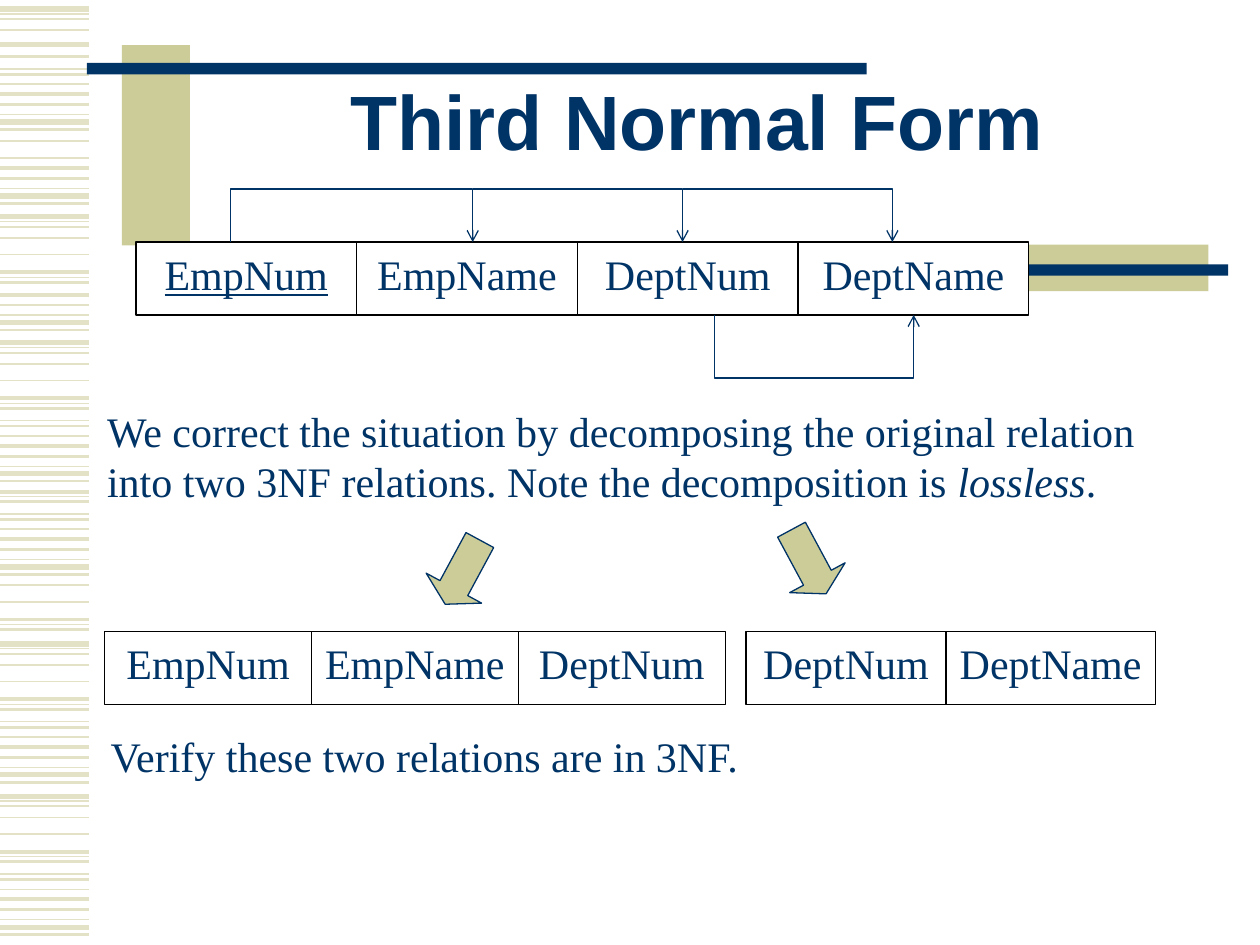
from lxml import etree
from pptx import Presentation
from pptx import util as u
from pptx.dml.color import RGBColor
from pptx.enum import shapes, text
from pptx.oxml.ns import qn

NAVY, KHAKI, PALE, WHITE, BLACK = "003366", "CCCC99", "E3E2C7", "FFFFFF", "000000"

# One stripe motif: (offset in cm, line width in points)
MOTIF = [(0, 3), (0.1, 0.75), (0.2, 1), (0.43, 1), (0.76, 1), (1.12, 2.25),
         (1.22, 0.75), (1.32, 1.5), (1.57, 0.75), (1.68, 1.5), (1.88, 1),
         (2.08, 2.25), (2.29, 1.5), (2.49, 0.75), (2.64, 3), (2.79, 1.5)]
# Each run draws part of the motif: (motif top in cm, first stripe, end stripe)
STRIPE_RUNS = [(0.18, 0, 4), (0.89, 0, 1), (-0.18, 7, 16), (2.08, 4, 5),
               (1.31, 10, 16), (4.37, 0, 8), (3.86, 11, 16), (6.91, 0, 16),
               (8.79, 5, 16), (11.37, 3, 8), (12.98, 0, 16), (16.05, 0, 16)]


def color(hex_string):
    return RGBColor.from_string(hex_string)


def write(p, content, font="Times New Roman", size=24, fill=NAVY, **style):
    """Add a run; style takes font attributes such as bold or underline."""
    r = p.add_run()
    r.text = content
    r.font.name, r.font.size = font, u.Pt(size)
    r.font.color.rgb = color(fill)
    for name, value in style.items():
        setattr(r.font, name, value)


class Deck:
    def __init__(self):
        self.prs = Presentation()
        self.prs.slide_width, self.prs.slide_height = u.Cm(25.4), u.Cm(19.05)
        self.s = self.prs.slides.add_slide(self.prs.slide_layouts[6])

    def shape(self, kind, x, y, w, h, fill, line=None, rotation=0):
        sp = self.s.shapes.add_shape(kind, u.Cm(x), u.Cm(y), u.Cm(w), u.Cm(h))
        sp.shadow.inherit = False
        sp.fill.solid()
        sp.fill.fore_color.rgb = color(fill)
        if line:
            sp.line.color.rgb = color(line)
            sp.line.width = u.Pt(0.75)
        else:
            sp.line.fill.background()
        sp.rotation = rotation
        return sp

    def bar(self, x, y, w, h, fill):
        self.shape(shapes.MSO_SHAPE.RECTANGLE, x, y, w, h, fill)

    def block_arrow(self, x, y, rotation):
        sp = self.shape(shapes.MSO_SHAPE.DOWN_ARROW, x, y, 1.27, 1.47, KHAKI, NAVY, rotation)
        sp.adjustments[1] = 0.29

    def relation(self, x, y, columns, key=None):
        """Draw adjoining cells from (name, width) pairs, underlining the key."""
        for name, w in columns:
            sp = self.shape(shapes.MSO_SHAPE.RECTANGLE, x, y, w, 1.47, WHITE, BLACK)
            tf = sp.text_frame
            tf.vertical_anchor = text.MSO_ANCHOR.TOP
            tf.word_wrap = True
            p = tf.paragraphs[0]
            p.alignment = text.PP_ALIGN.CENTER
            write(p, name, underline=name == key)
            x += w

    def dependency(self, *points):
        """Draw an open path with an arrowhead at its last point."""
        start, *rest = [(u.Cm(x), u.Cm(y)) for x, y in points]
        builder = self.s.shapes.build_freeform(*start)
        builder.add_line_segments(rest, close=False)
        sp = builder.convert_to_shape()
        sp.shadow.inherit = False
        sp.fill.background()
        sp.line.color.rgb = color(NAVY)
        sp.line.width = u.Pt(0.75)
        etree.SubElement(sp.line._get_or_add_ln(), qn("a:tailEnd"), type="arrow")

    def stripe(self, y, width):
        c = self.s.shapes.add_connector(shapes.MSO_CONNECTOR.STRAIGHT,
                                        0, u.Cm(y), u.Cm(1.8), u.Cm(y))
        c.line.color.rgb = color(PALE)
        c.line.width = u.Pt(width)
        etree.SubElement(c._element.spPr, qn("a:effectLst"))

    def text_box(self, x, y, w, h, anchor=text.MSO_ANCHOR.TOP):
        """Add an empty wrapping text box and return its first paragraph."""
        tf = self.s.shapes.add_textbox(u.Cm(x), u.Cm(y), u.Cm(w), u.Cm(h)).text_frame
        tf.word_wrap = True
        tf.vertical_anchor = anchor
        return tf.paragraphs[0]


def main():
    deck = Deck()
    for top, first, end in STRIPE_RUNS:
        for offset, width in MOTIF[first:end]:
            deck.stripe(top + offset, width)

    deck.bar(2.46, 0.91, 1.37, 4.04, KHAKI)
    deck.bar(1.75, 1.27, 15.72, 0.23, NAVY)
    deck.bar(20.27, 4.93, 4.09, 0.94, KHAKI)
    deck.bar(9.04, 5.33, 15.72, 0.23, NAVY)

    p = deck.text_box(3.81, 1.7, 20.5, 1.7, text.MSO_ANCHOR.MIDDLE)
    p.alignment = text.PP_ALIGN.CENTER
    p.line_spacing = 0.85
    write(p, "Third Normal Form", font="Arial", size=44, bold=True)

    deck.relation(2.74, 4.88, [("EmpNum", 4.45), ("EmpName", 4.45),
                               ("DeptNum", 4.45), ("DeptName", 4.65)], key="EmpNum")
    row_top, row_bottom, upper, lower = 4.88, 6.35, 3.81, 7.62
    deck.dependency((4.65, row_top), (4.65, upper), (9.53, upper), (9.53, row_top))
    for left, right in [(9.53, 13.76), (13.76, 17.99)]:
        deck.dependency((left, upper), (right, upper), (right, row_top))
    deck.dependency((14.4, row_bottom), (14.4, lower), (18.42, lower), (18.42, row_bottom))

    p = deck.text_box(1.91, 8.05, 22.02, 2.29)
    write(p, "We correct the situation by decomposing the original relation "
             "into two 3NF relations. Note the decomposition is ")
    write(p, "lossless", italic=True)
    write(p, ".")

    deck.relation(2.11, 12.73, [("EmpNum", 4.17), ("EmpName", 4.17), ("DeptNum", 4.17)])
    deck.relation(15.04, 12.73, [("DeptNum", 4.03), ("DeptName", 4.22)])
    deck.block_arrow(8.69, 10.8, 28.4)
    deck.block_arrow(15.67, 10.59, 331.7)

    write(deck.text_box(1.98, 14.61, 16.51, 1.3), "Verify these two relations are in 3NF.")
    deck.prs.save("out.pptx")


if __name__ == "__main__":
    main()
